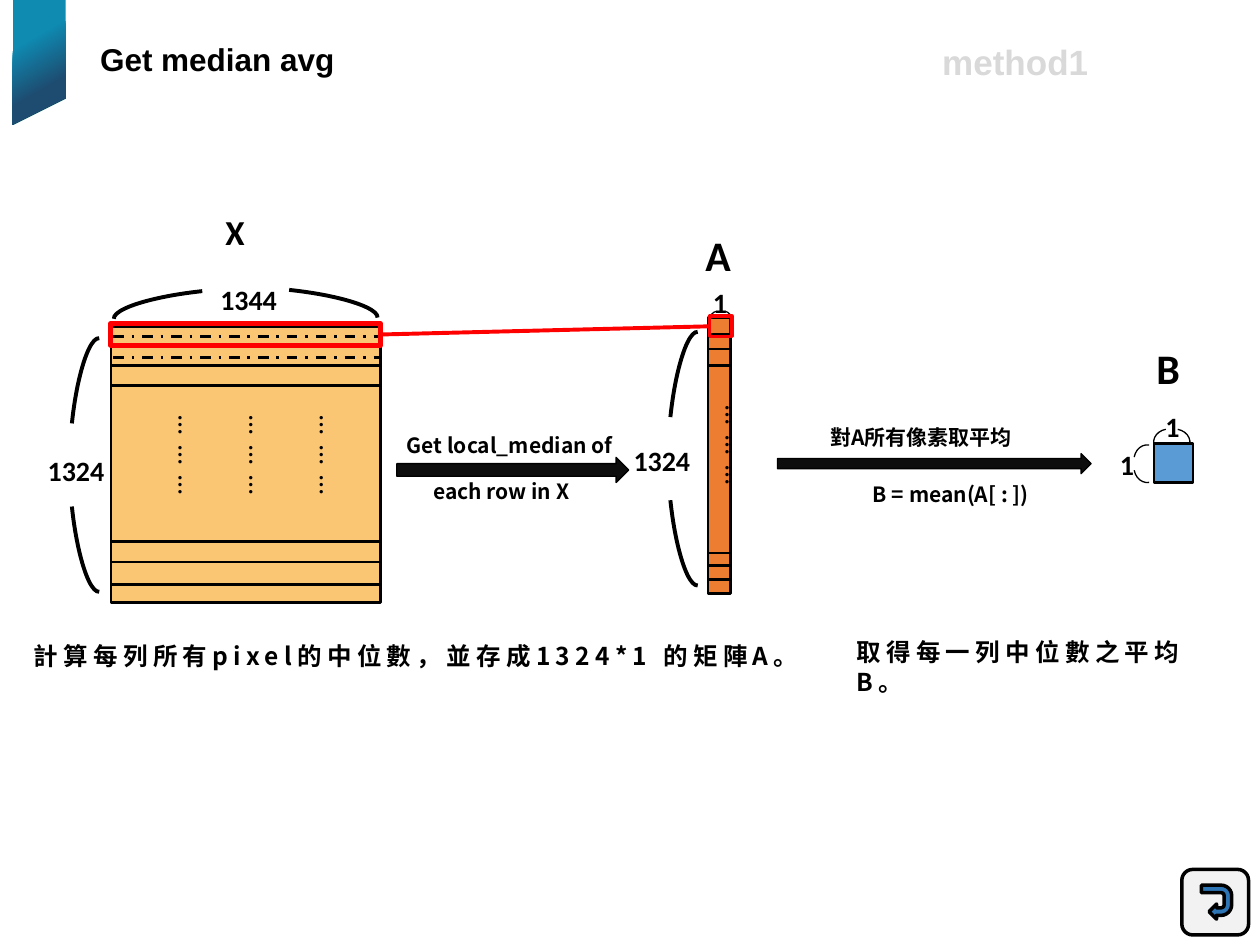
from lxml.etree import SubElement
from pptx import Presentation
from pptx.dml.color import RGBColor
from pptx.enum.dml import MSO_LINE_DASH_STYLE as Dash
from pptx.enum.shapes import MSO_CONNECTOR as Connector, MSO_SHAPE as Shape
from pptx.enum.text import MSO_ANCHOR as Anchor, MSO_AUTO_SIZE as AutoSize, PP_ALIGN as Align
from pptx.oxml.ns import qn
from pptx.util import Inches, Pt

BLACK = RGBColor(0, 0, 0)
ARROW_BLACK = RGBColor(0x0D, 0x0D, 0x0D)
RED = RGBColor(0xFF, 0, 0)
SAND = RGBColor(0xFA, 0xC6, 0x74)
ORANGE = RGBColor(0xED, 0x7D, 0x31)
BLUE = RGBColor(0x5B, 0x9B, 0xD5)
DARK_BLUE = RGBColor(0x2E, 0x75, 0xB6)
PALE_GRAY = RGBColor(0xF2, 0xF2, 0xF2)
LIGHT_GRAY = RGBColor(0xD9, 0xD9, 0xD9)
TEAL = RGBColor(0x0F, 0x8A, 0xB1)
NAVY = RGBColor(0x1E, 0x4B, 0x70)
CJK = "Noto Sans CJK SC"


def add_run(paragraph, text, size, font="Calibri", color=BLACK, bold=True, spacing=0):
    run = paragraph.add_run()
    run.text = text
    run.font.size = Pt(size)
    run.font.name = font
    run.font.bold = bold
    run.font.color.rgb = color
    properties = run.font._element
    if spacing:
        properties.set("spc", str(spacing * 100))
    if font == CJK:
        SubElement(properties, qn("a:ea")).set("typeface", font)


def add_label(slide, box, text, size, wrap=False, **style):
    frame = slide.shapes.add_textbox(*map(Inches, box)).text_frame
    frame.word_wrap = wrap
    add_run(frame.paragraphs[0], text, size, **style)
    return frame


def add_dots(slide, box):
    frame = add_label(slide, box, "………", 16, wrap=True, bold=False, spacing=6)
    frame._element.find(qn("a:bodyPr")).set("vert", "eaVert")


def add_figure(slide, kind, box, fill=None, line=BLACK, width=1.5, rotation=0, flip=False):
    shape = slide.shapes.add_shape(kind, *map(Inches, box))
    shape.shadow.inherit = False
    if fill is None:
        shape.fill.background()
    else:
        shape.fill.solid()
        shape.fill.fore_color.rgb = fill
    shape.line.color.rgb = line
    shape.line.width = Pt(width)
    shape.rotation = rotation
    if flip:
        shape._element.spPr.find(qn("a:xfrm")).set("flipH", "1")
    return shape


def add_line(slide, start, end, color=BLACK, width=1.5, dash=None):
    line = slide.shapes.add_connector(Connector.STRAIGHT, *map(Inches, start + end))
    line.line.color.rgb = color
    line.line.width = Pt(width)
    if dash:
        line.line.dash_style = dash
    SubElement(line._element.spPr, qn("a:effectLst"))
    return line


def add_brace(slide, flipped_box, plain_box, tilt, width):
    add_figure(slide, Shape.ARC, flipped_box, width=width, rotation=360 - tilt, flip=True)
    add_figure(slide, Shape.ARC, plain_box, width=width, rotation=tilt)


def add_small_brace(slide, first_box, second_box, rotation, flipped_rotation):
    add_figure(slide, Shape.ARC, first_box, width=0.75, rotation=rotation)
    add_figure(slide, Shape.ARC, second_box, width=0.75, rotation=flipped_rotation, flip=True)


def add_side_brace(slide, left, top):
    add_figure(slide, Shape.ARC, (left, top + 0.63, 1.39, 0.29), width=2.25, rotation=264, flip=True)
    add_figure(slide, Shape.ARC, (left, top, 1.39, 0.29), width=2.25, rotation=276)


def add_ribbon(slide):
    builder = slide.shapes.build_freeform(Inches(0.1), Inches(0.99))
    corners = [(0.52, 0.78), (0.52, 0), (0.1, 0)]
    builder.add_line_segments([(Inches(x), Inches(y)) for x, y in corners])
    ribbon = builder.convert_to_shape()
    ribbon.shadow.inherit = False
    ribbon.line.fill.background()
    ribbon.fill.gradient()
    ribbon.fill.gradient_angle = 300
    for stop, position, color in zip(ribbon.fill.gradient_stops, (0.32, 0.7), (TEAL, NAVY)):
        stop.position = position
        stop.color.rgb = color


def add_title(slide):
    title = slide.shapes.title
    title.left, title.top, title.width, title.height = map(Inches, (0.63, 0.18, 2.19, 0.49))
    frame = title.text_frame
    frame.auto_size = AutoSize.NONE
    frame.vertical_anchor = Anchor.TOP
    paragraph = frame.paragraphs[0]
    paragraph.alignment = Align.CENTER
    paragraph.line_spacing = 1.3
    add_run(paragraph, "Get median avg", 18, font="Arial")


def add_matrix_x(slide):
    add_figure(slide, Shape.RECTANGLE, (0.88, 2.59, 2.14, 2.19), SAND)
    add_brace(slide, (0.9, 2.31, 1.44, 0.29), (1.56, 2.3, 1.44, 0.29), 6, 2.25)
    add_side_brace(slide, 0.02, 3.23)
    add_label(slide, (1.65, 2.19, 0.65, 0.37), "1344", 16)
    add_label(slide, (0.28, 3.55, 0.65, 0.37), "1324", 16)
    add_label(slide, (1.69, 1.62, 0.36, 0.44), "X", 20)
    for y in (2.74, 2.9, 3.06, 4.3, 4.46, 4.64):
        add_line(slide, (0.89, y), (3.01, y))
    for y in (2.67, 2.84):
        add_line(slide, (0.9, y), (3.02, y), dash=Dash.DASH_DOT)
    for left in (1.22, 1.78, 2.34):
        add_dots(slide, (left, 3.2, 0.47, 2.4))


def add_column_a(slide):
    add_figure(slide, Shape.RECTANGLE, (5.62, 2.52, 0.18, 2.19), ORANGE)
    add_side_brace(slide, 4.77, 3.18)
    add_small_brace(slide, (5.6, 2.5, 0.2, 0.14), (5.64, 2.5, 0.2, 0.14), 260, 100)
    add_label(slide, (4.93, 3.47, 0.65, 0.37), "1324", 16)
    add_label(slide, (5.56, 2.22, 0.31, 0.37), "1", 16)
    add_label(slide, (5.5, 1.77, 0.43, 0.5), "A", 24)
    for y in (2.65, 2.77, 2.9, 4.39, 4.49, 4.6):
        add_line(slide, (5.62, y), (5.8, y))
    add_dots(slide, (5.56, 3.12, 0.47, 1.14))


def add_pixel_b(slide):
    add_figure(slide, Shape.RECTANGLE, (9.16, 3.52, 0.31, 0.31), BLUE)
    add_small_brace(slide, (9.17, 3.39, 0.2, 0.23), (9.23, 3.39, 0.2, 0.23), 260, 100)
    add_small_brace(slide, (9, 3.6, 0.2, 0.23), (9, 3.53, 0.2, 0.23), 170, 10)
    add_label(slide, (9.15, 3.2, 0.28, 0.33), "1", 16)
    add_label(slide, (8.79, 3.5, 0.28, 0.33), "1", 16)
    add_label(slide, (9.08, 2.67, 0.39, 0.5), "B", 24)


def add_steps(slide):
    add_figure(slide, Shape.RIGHT_ARROW, (3.15, 3.63, 1.84, 0.2), ARROW_BLACK, width=0.75)
    add_figure(slide, Shape.RIGHT_ARROW, (6.17, 3.6, 2.49, 0.16), ARROW_BLACK, width=0.75)
    frame = add_label(slide, (3.13, 3.38, 2.68, 0.71), "Get local_median of", 12, wrap=True, font=CJK)
    second = frame.add_paragraph()
    second.space_before = Pt(12)
    second._element.get_or_add_pPr().set("marL", str(Inches(0.21)))
    add_run(second, "each row in X", 12, font=CJK)
    add_label(slide, (6.49, 3.32, 1.72, 0.3), "對A所有像素取平均", 12, font=CJK)
    add_label(slide, (6.83, 3.77, 1.5, 0.33), "B = mean(A[ : ])", 12, font=CJK)
    captions = [
        ((0.17, 5.04, 6.32, 0.67), "計算每列所有pixel的中位數，並存成1324*1 的矩陣A。"),
        ((6.7, 5.01, 3.05, 0.67), "取得每一列中位數之平均B。"),
    ]
    for box, text in captions:
        add_label(slide, box, text, 14, wrap=True, font=CJK, spacing=3)


def add_highlight(slide):
    row = add_figure(slide, Shape.RECTANGLE, (0.88, 2.57, 2.14, 0.17), line=RED, width=3)
    cell = add_figure(slide, Shape.RECTANGLE, (5.63, 2.51, 0.18, 0.16), line=RED, width=2)
    link = add_line(slide, (3.02, 2.66), (5.63, 2.59), RED, 2.25)
    link.begin_connect(row, 3)
    link.end_connect(cell, 1)


def add_return_button(slide):
    add_figure(slide, Shape.ROUNDED_RECTANGLE, (9.38, 6.9, 0.53, 0.52), PALE_GRAY, width=2)
    arrow = add_figure(slide, Shape.U_TURN_ARROW, (9.52, 7.04, 0.27, 0.24), DARK_BLUE, width=2, rotation=90)
    for index, value in enumerate((0.25, 0.25, 0.25, 0.35, 0.75)):
        arrow.adjustments[index] = value


def main():
    presentation = Presentation()
    presentation.slide_width, presentation.slide_height = Inches(10), Inches(7.5)
    slide = presentation.slides.add_slide(presentation.slide_layouts[5])
    add_ribbon(slide)
    add_title(slide)
    add_label(slide, (7.38, 0.27, 1.37, 0.44), "method1", 20, font="Arial", color=LIGHT_GRAY)
    add_matrix_x(slide)
    add_column_a(slide)
    add_pixel_b(slide)
    add_steps(slide)
    add_highlight(slide)
    add_return_button(slide)
    presentation.save("out.pptx")


if __name__ == "__main__":
    main()
